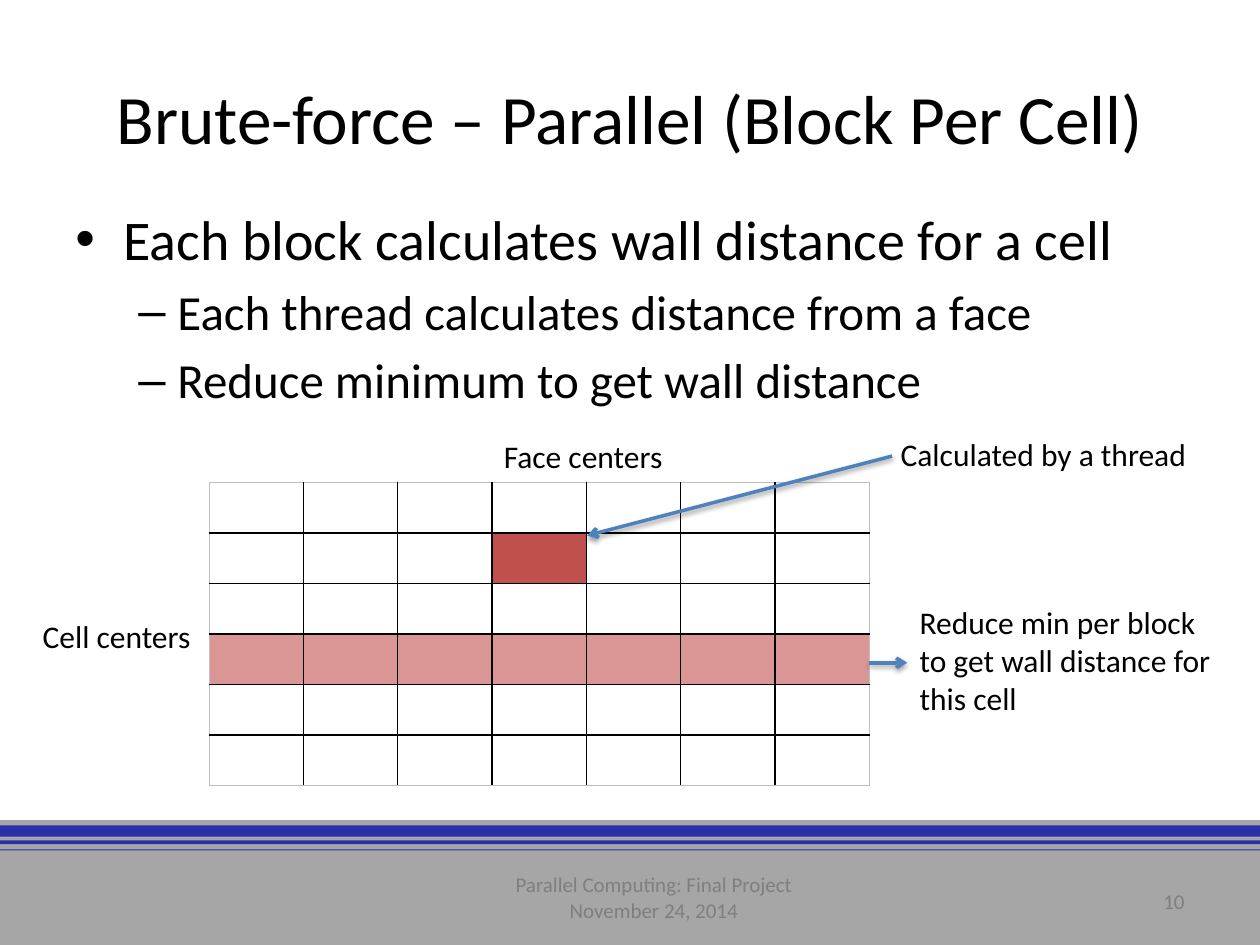
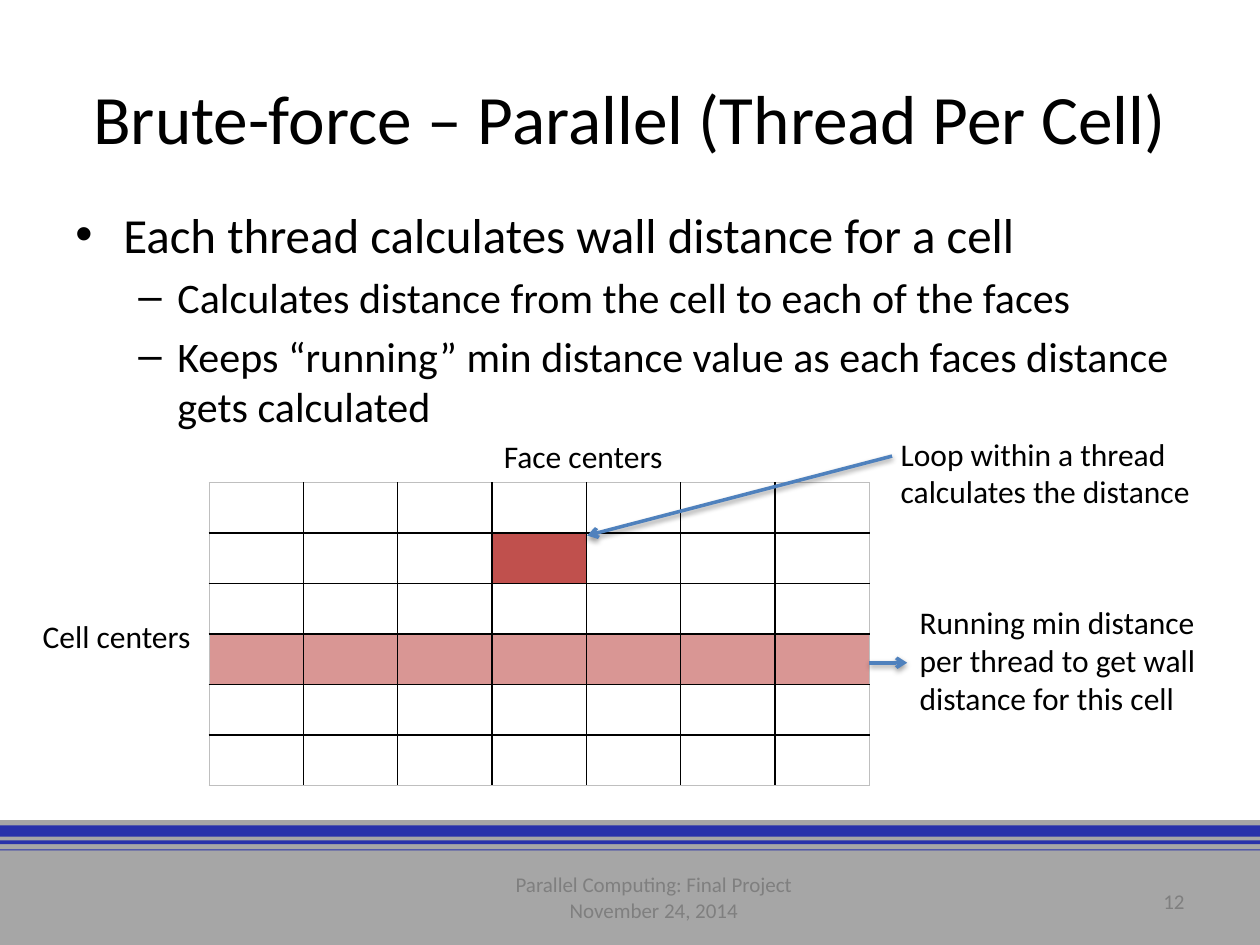
import pptx
import pptx.util
import pptx.dml.color
import pptx.enum.shapes
import pptx.enum.text
import pptx.oxml
import pptx.oxml.ns

Inches, Pt = pptx.util.Inches, pptx.util.Pt
ALIGN = pptx.enum.text.PP_ALIGN
ANCHOR = pptx.enum.text.MSO_ANCHOR

FONT = "Calibri"
BLACK, FOOTER_GREY, BAND_GREY, STRIPE_BLUE = "000000", "7F7F7F", "A6A6A6", "2831AA"
CELL_RED, ROW_PINK, ARROW_BLUE, EDGE_GREY = "C0504D", "D99694", "4F81BD", "BFBFBF"

STRIPES = [(0.04, 0.09), (0.16, 0.03), (0.23, 0.01)]
BULLETS = [("•", 0.38, 0.38), ("–", 0.81, 0.31)]
ROWS, COLS = 6, 7
MARKED_CELL, MARKED_ROW = (1, 3), 3
TITLE_BOX = (0.5, 0.3, 9, 1.25)
BODY_BOX = (0.5, 1.57, 9.31, 3.29)
GRID_BOX = (1.66, 3.83, 5.24, 2.4)
FOOTER_BOX = (0, 6.51, 10.01, 1.01)
FOOTER = ["Parallel Computing: Final Project", "November 24, 2014"]

SLIDES = [
    {
        "title": "Brute-force – Parallel (Block Per Cell)",
        "bullets": [
            (0, "Each block calculates wall distance for a cell"),
            (1, "Each thread calculates distance from a face"),
            (1, "Reduce minimum to get wall distance"),
        ],
        "sizes": (32, 28),
        "cell_note": "Calculated by a thread",
        "row_note": "Reduce min per block to get wall distance for this cell",
        "number": "10",
    },
    {
        "title": "Brute-force – Parallel (Thread Per Cell)",
        "bullets": [
            (0, "Each thread calculates wall distance for a cell"),
            (1, "Calculates distance from the cell to each of the faces"),
            (1, "Keeps “running” min distance value as each faces distance gets calculated"),
        ],
        "sizes": (28, 24),
        "cell_note": "Loop within a thread calculates the distance",
        "row_note": "Running min distance per thread to get wall distance for this cell",
        "number": "12",
    },
]


def rgb(code):
    """Turn a hex string into a colour."""
    return pptx.dml.color.RGBColor.from_string(code)


def add_xml(parent, xml):
    """Append a drawing element written as text and return it."""
    ns = pptx.oxml.ns.nsdecls("a")
    el = pptx.oxml.parse_xml(xml.replace(" ", f" {ns} ", 1))
    parent.append(el)
    return el


def add_text(s, box, lines, size=18, color=BLACK, align=ALIGN.LEFT, anchor=ANCHOR.TOP, wrap=True):
    """Add a text box with one paragraph per line."""
    tf = s.shapes.add_textbox(*map(Inches, box)).text_frame
    for name, value in {"word_wrap": wrap, "vertical_anchor": anchor}.items():
        setattr(tf, name, value)
    for i, line in enumerate(lines):
        p = tf.add_paragraph() if i else tf.paragraphs[0]
        p.alignment = align
        r = p.add_run()
        r.text = line
        for name, value in {"name": FONT, "size": Pt(size)}.items():
            setattr(r.font, name, value)
        r.font.color.rgb = rgb(color)
    return tf


def add_bar(s, box, color):
    """Add a plain filled rectangle."""
    sp = s.shapes.add_shape(pptx.enum.shapes.MSO_SHAPE.RECTANGLE, *map(Inches, box))
    sp.shadow.inherit = False
    sp.fill.solid()
    sp.fill.fore_color.rgb = rgb(color)
    sp.line.fill.background()


def add_footer(s, box, number):
    """Draw the striped band with the footer text and slide number."""
    x, y, w, h = box
    add_bar(s, box, BAND_GREY)
    for dy, height in STRIPES:
        add_bar(s, (x, y + dy, w, height), STRIPE_BLUE)
    style = {"size": 12, "color": FOOTER_GREY, "anchor": ANCHOR.MIDDLE}
    add_text(s, (x + 3.21, y + 0.41, 3.96, 0.4), FOOTER, align=ALIGN.CENTER, **style)
    add_text(s, (x + 7.17, y + 0.44, 2.33, 0.4), [number], align=ALIGN.RIGHT, **style)


def add_bullets(s, box, bullets, sizes):
    """Add the two-level bullet list."""
    tf = add_text(s, box, [text for _, text in bullets])
    for p, (level, _) in zip(tf.paragraphs, bullets):
        char, left, hang = BULLETS[level]
        p.level = level
        p.space_before = Pt(sizes[level] * 0.2)
        p.runs[0].font.size = Pt(sizes[level])
        pPr = p._p.get_or_add_pPr()
        pPr.set("marL", str(Inches(left)))
        pPr.set("indent", str(-Inches(hang)))
        add_xml(pPr, '<a:buFont typeface="Arial"/>')
        add_xml(pPr, f'<a:buChar char="{char}"/>')


def set_borders(cell, row, col):
    """Give a cell black inner borders and fine grey outer ones."""
    outer = {"L": col == 0, "R": col == COLS - 1, "T": row == 0, "B": row == ROWS - 1}
    tcPr = cell._tc.get_or_add_tcPr()
    for side, is_outer in outer.items():
        width, color = (Pt(0.5), EDGE_GREY) if is_outer else (Pt(1), BLACK)
        add_xml(tcPr, f'<a:ln{side} w="{width}"><a:solidFill><a:srgbClr val="{color}"/>'
                      f'</a:solidFill></a:ln{side}>')


def add_grid(s, box):
    """Add the table of cells against faces."""
    table = s.shapes.add_table(ROWS, COLS, *map(Inches, box)).table
    for name in ("first_row", "horz_banding"):
        setattr(table, name, False)
    for row in range(ROWS):
        for col in range(COLS):
            cell = table.cell(row, col)
            set_borders(cell, row, col)
            if (row, col) == MARKED_CELL or row == MARKED_ROW:
                cell.fill.solid()
                cell.fill.fore_color.rgb = rgb(CELL_RED if (row, col) == MARKED_CELL else ROW_PINK)
            else:
                cell.fill.background()


def add_arrow(s, start, end):
    """Add a blue arrow with a soft shadow below it."""
    line = s.shapes.add_connector(pptx.enum.shapes.MSO_CONNECTOR.STRAIGHT, *map(Inches, start + end))
    line.line.color.rgb = rgb(ARROW_BLUE)
    line.line.width = Pt(2)
    add_xml(line.line._get_or_add_ln(), '<a:tailEnd type="arrow"/>')
    add_xml(line._element.spPr,
            f'<a:effectLst ><a:outerShdw blurRad="{Pt(3.1)}" dist="{Pt(1.6)}" dir="5400000" '
            f'rotWithShape="0"><a:srgbClr val="{BLACK}"><a:alpha val="38000"/></a:srgbClr>'
            '</a:outerShdw></a:effectLst>')


def add_diagram(s, box, cell_note, row_note):
    """Draw the grid with its axis labels, arrows and notes."""
    x, y, w, h = box
    add_grid(s, box)
    add_text(s, (x + 2.24, y - 0.41, 1.47, 0.4), ["Face centers"], wrap=False)
    add_text(s, (x - 1.42, y + 1.02, 1.38, 0.4), ["Cell centers"], wrap=False)
    add_arrow(s, (x + w + 0.18, y - 0.21), (x + 3, y + 0.42))
    add_text(s, (x + w + 0.15, y - 0.43, 2.57, 0.71), [cell_note])
    add_arrow(s, (x + w, y + 1.43), (x + w + 0.3, y + 1.43))
    add_text(s, (x + w + 0.3, y + 0.91, 2.61, 1.01), [row_note])


def add_slide(prs, content):
    """Build one slide from its content."""
    s = prs.slides.add_slide(prs.slide_layouts[6])
    add_footer(s, FOOTER_BOX, content["number"])
    add_text(s, TITLE_BOX, [content["title"]], 39.6, align=ALIGN.CENTER, anchor=ANCHOR.MIDDLE)
    add_bullets(s, BODY_BOX, content["bullets"], content["sizes"])
    add_diagram(s, GRID_BOX, content["cell_note"], content["row_note"])


def main():
    """Build and save the slides."""
    prs = pptx.Presentation()
    prs.slide_width, prs.slide_height = Inches(10), Inches(7.5)
    for content in SLIDES:
        add_slide(prs, content)
    prs.save("out.pptx")


if __name__ == "__main__":
    main()
